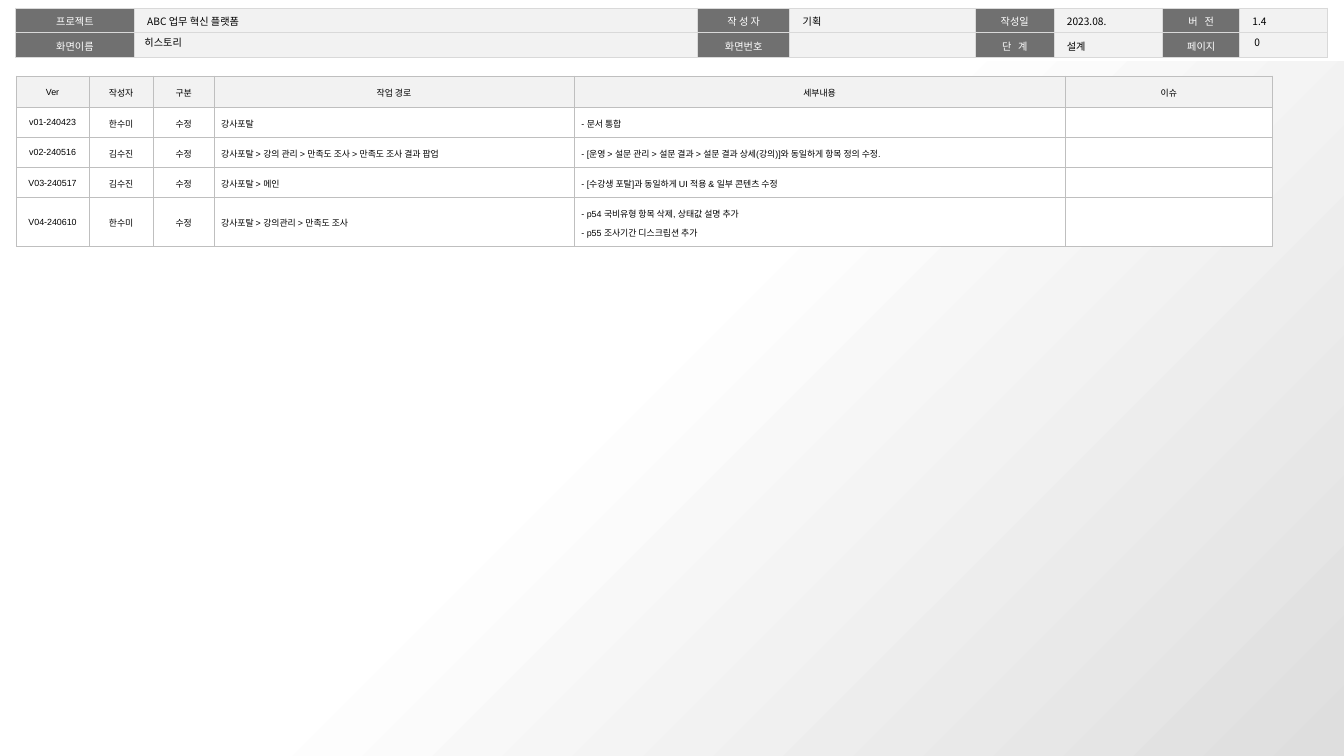
import pptx
import pptx.util
import pptx.dml.color
import pptx.enum.shapes
import pptx.enum.text
import pptx.oxml
import pptx.oxml.ns

Inches, Pt = pptx.util.Inches, pptx.util.Pt
ALIGN, ANCHOR = pptx.enum.text.PP_ALIGN, pptx.enum.text.MSO_ANCHOR

SLIDE_W, SLIDE_H = 14.7, 8.27
COLORS = {"label": "707070", "pale": "F2F2F2", "white": "FFFFFF", "black": "000000",
          "header_line": "D9D9D9", "history_line": "BFBFBF", "shade": "DEDEDE"}
KOREAN, LATIN = "Noto Sans CJK KR", "Arial"

HEADER = [
    ["프로젝트", "ABC 업무 혁신 플랫폼", "작 성 자", "기획", "작성일", "2023.08.", "버   전", "1.4"],
    ["화면이름", "", "화면번호", "", "단   계", "설계", "페이지", ""],
]
HISTORY = [
    ["Ver", "작성자", "구분", "작업 경로", "세부내용", "이슈"],
    ["v01-240423", "한수미", "수정", "강사포탈", "- 문서 통합", ""],
    ["v02-240516", "김수진", "수정", "강사포탈 > 강의 관리 > 만족도 조사 > 만족도 조사 결과 팝업",
     "- [운영 > 설문 관리 > 설문 결과 > 설문 결과 상세(강의)]와 동일하게 항목 정의 수정.", ""],
    ["V03-240517", "김수진", "수정", "강사포탈 > 메인",
     "- [수강생 포탈]과 동일하게 UI 적용 & 일부 콘텐츠 수정", ""],
    ["V04-240610", "한수미", "수정", "강사포탈 > 강의관리 > 만족도 조사",
     "- p54 국비유형 항목 삭제, 상태값 설명 추가\n- p55 조사기간 디스크립션 추가", ""],
]
HEADER_GRID = {"at": (0.17, 0.09), "cols": [1.3, 6.16, 1.01, 2.03, 0.86, 1.19, 0.84, 0.96],
               "rows": [0.27] * 2, "line": ("header_line", 1), "insets": (0.14, 0.05, 0.14, 0.05),
               "anchor": ANCHOR.TOP, "text": (8, KOREAN, 1.05)}
HISTORY_GRID = {"at": (0.18, 0.83), "cols": [0.79, 0.71, 0.66, 3.94, 5.37, 2.27],
                "rows": [0.34] + [0.33] * 3 + [0.53], "line": ("history_line", 0.25),
                "insets": (0.08, 0.04, 0.08, 0.08), "anchor": ANCHOR.MIDDLE, "text": (7, LATIN, 1.5)}
CAPTIONS = [("0", 13.62, 0.72, 0.1), ("히스토리", 1.47, 5.42, 0.11)]
CAPTION_TOP, CAPTION_H = 0.38, 0.16
BACKDROP_TOP = 0.67


def rgb(name):
    return pptx.dml.color.RGBColor.from_string(COLORS[name])


def write(tf, text, size, font, color="black", align=ALIGN.LEFT, spacing=None):
    tf.text = text
    for p in tf.paragraphs:
        p.alignment = align
        p.line_spacing = spacing
        for r in p.runs:
            r.font.size, r.font.name = Pt(size), font
            r.font.color.rgb = rgb(color)
            ea = pptx.oxml.parse_xml(f'<a:ea {pptx.oxml.ns.nsdecls("a")} typeface="{KOREAN}"/>')
            r.font._element.find(pptx.oxml.ns.qn("a:latin")).addnext(ea)
        if not p.runs:  # keeps an empty cell from growing its row
            p._p.append(pptx.oxml.parse_xml(
                f'<a:endParaRPr {pptx.oxml.ns.nsdecls("a")} sz="{size * 100}"/>'))


def set_borders(cell, color, width):
    tc_pr = cell._tc.get_or_add_tcPr()
    for i, side in enumerate("LRTB"):
        tc_pr.insert(i, pptx.oxml.parse_xml(
            f'<a:ln{side} {pptx.oxml.ns.nsdecls("a")} w="{int(Pt(width))}"><a:solidFill>'
            f'<a:srgbClr val="{COLORS[color]}"/></a:solidFill></a:ln{side}>'))


def add_grid(slide, content, grid, style):
    """Add a table; style(row, column) gives fill, text colour and alignment."""
    cols, rows = grid["cols"], grid["rows"]
    size, font, spacing = grid["text"]
    box = [Inches(v) for v in (*grid["at"], sum(cols), sum(rows))]
    table = slide.shapes.add_table(len(rows), len(cols), *box).table
    table.first_row = table.horz_banding = False
    for col, width in zip(table.columns, cols):
        col.width = Inches(width)
    for i, (row, height) in enumerate(zip(table.rows, rows)):
        row.height = Inches(height)
        for j, cell in enumerate(row.cells):
            fill, color, align = style(i, j)
            cell.fill.solid()
            cell.fill.fore_color.rgb = rgb(fill)
            (cell.margin_left, cell.margin_top, cell.margin_right,
             cell.margin_bottom) = map(Inches, grid["insets"])
            cell.vertical_anchor = grid["anchor"]
            write(cell.text_frame, content[i][j], size, font, color, align, spacing)
            set_borders(cell, *grid["line"])


def header_style(i, j):
    return ("pale", "black", ALIGN.LEFT) if j % 2 else ("label", "white", ALIGN.CENTER)


def history_style(i, j):
    centred = i == 0 or j < 3
    return "white" if i else "pale", "black", ALIGN.CENTER if centred else ALIGN.LEFT


def add_backdrop(slide):
    sp = slide.shapes.add_shape(pptx.enum.shapes.MSO_SHAPE.RECTANGLE, 0, Inches(BACKDROP_TOP),
                                Inches(SLIDE_W), Inches(SLIDE_H - BACKDROP_TOP))
    sp.shadow.inherit = False
    sp.line.fill.background()
    sp.fill.gradient()
    sp.fill.gradient_angle = 315
    for stop, (position, color) in zip(sp.fill.gradient_stops, [(0.45, "white"), (1, "shade")]):
        stop.position, stop.color.rgb = position, rgb(color)


def add_caption(slide, text, left, width, inset):
    box = [Inches(v) for v in (left, CAPTION_TOP, width, CAPTION_H)]
    tf = slide.shapes.add_textbox(*box).text_frame
    tf.word_wrap = True
    tf.vertical_anchor = ANCHOR.MIDDLE
    tf.margin_left = tf.margin_right = Inches(inset)
    write(tf, text, 8, KOREAN)


def main():
    prs = pptx.Presentation()
    prs.slide_width, prs.slide_height = Inches(SLIDE_W), Inches(SLIDE_H)
    slide = prs.slides.add_slide(prs.slide_layouts[6])
    add_grid(slide, HEADER, HEADER_GRID, header_style)
    add_backdrop(slide)
    for caption in CAPTIONS:
        add_caption(slide, *caption)
    add_grid(slide, HISTORY, HISTORY_GRID, history_style)
    prs.save("out.pptx")


if __name__ == "__main__":
    main()
